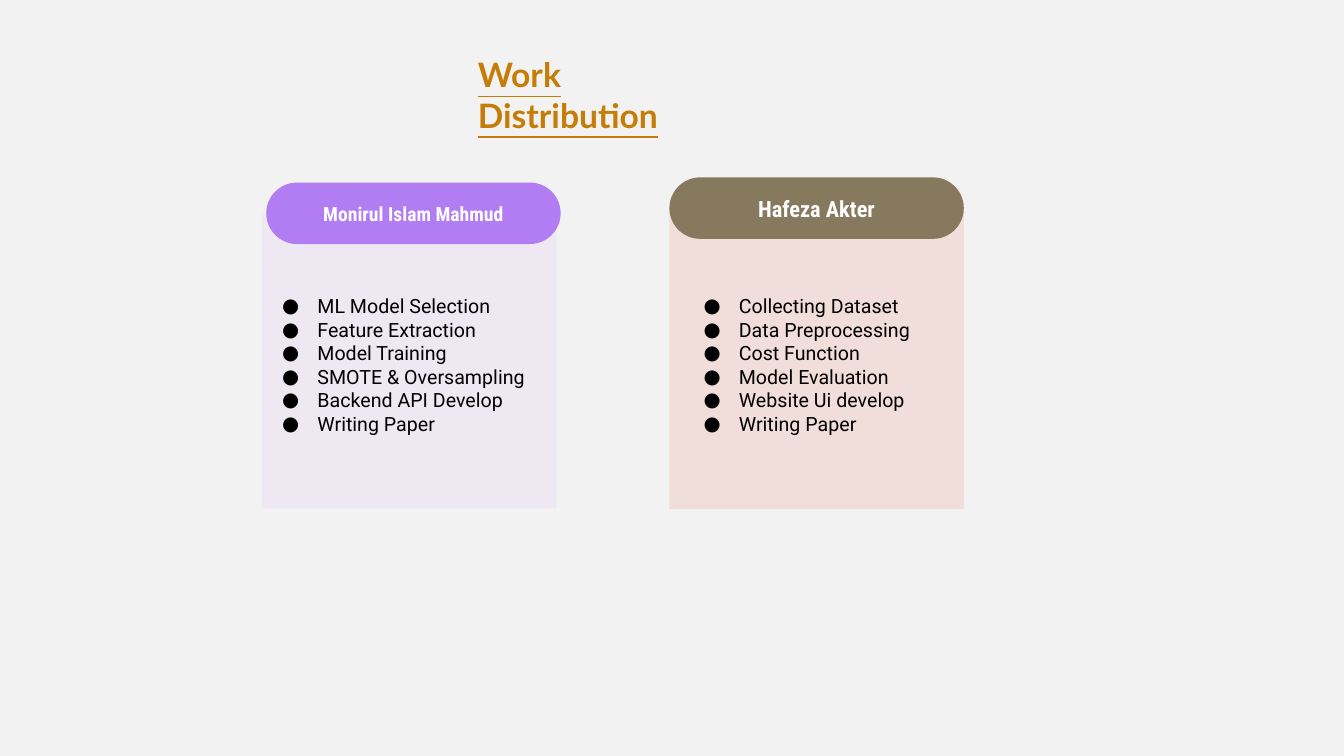
from lxml.etree import SubElement
from pptx import Presentation
from pptx.dml.color import RGBColor
from pptx.enum.shapes import MSO_SHAPE as Kind
from pptx.enum.text import MSO_ANCHOR as Anchor, MSO_AUTO_SIZE as Fit, PP_ALIGN as Align
from pptx.oxml.ns import qn
from pptx.util import Cm, Pt


def paint(fill, hue, alpha=None):
    """Fill with a hex colour, with opacity in percent if given."""
    fill.solid()
    fill.fore_color.rgb = RGBColor.from_string(hue)
    if alpha:
        node = fill._xPr.find(qn("a:solidFill"))[0]
        SubElement(node, qn("a:alpha")).set("val", str(alpha * 1000))


class Deck:
    """Hold the style and the current slide."""

    ink, white, gold = "000000", "FFFFFF", "C67D08"
    body, head, serif = "Roboto", "Roboto Condensed", "Lato"
    pad, dent = Cm(0.25), Cm(0.89)

    def __init__(self, prs):
        """Add a title-only slide with a plain background."""
        self.slide = prs.slides.add_slide(prs.slide_layouts[5])
        paint(self.slide.background.fill, "F2F2F2")

    def style(self, para, name, size, hue, bold=False):
        """Set the font of a paragraph."""
        font = para.font
        font.name, font.size, font.bold = name, Pt(size), bold
        paint(font.fill, hue)

    def title(self, text, *box):
        """Place and format the title."""
        shape = self.slide.shapes.title
        shape.left, shape.top, shape.width, shape.height = map(Cm, box)
        frame = shape.text_frame
        frame.text = text
        frame.word_wrap, frame.auto_size = True, Fit.NONE
        frame.vertical_anchor = Anchor.TOP
        para = frame.paragraphs[0]
        para.alignment = Align.LEFT
        self.style(para, self.serif, 24, self.gold, True)
        para.font.underline = True

    def shape(self, kind, hue, *box, alpha=None):
        """Add a filled shape with no line."""
        shape = self.slide.shapes.add_shape(kind, *map(Cm, box))
        shape.shadow.inherit = False
        shape.line.fill.background()
        paint(shape.fill, hue, alpha)
        return shape

    def pill(self, hue, *box):
        """Add a bar with fully round ends."""
        self.shape(Kind.ROUNDED_RECTANGLE, hue, *box).adjustments[0] = 0.5

    def text(self, lines, *box):
        """Add a padded text box and return its frame."""
        frame = self.slide.shapes.add_textbox(*map(Cm, box)).text_frame
        frame.word_wrap = True
        frame.margin_left = frame.margin_right = self.pad
        frame.margin_top = frame.margin_bottom = self.pad
        frame.text = "\n".join(lines)
        return frame

    def name(self, text, size, *box):
        """Add a centred name."""
        frame = self.text([text], *box)
        frame.vertical_anchor = Anchor.MIDDLE
        para = frame.paragraphs[0]
        para.alignment = Align.CENTER
        self.style(para, self.head, size, self.white, True)

    def tasks(self, lines, *box):
        """Add a bulleted list."""
        for para in self.text(lines, *box).paragraphs:
            props = para._p.get_or_add_pPr()
            props.set("marL", str(self.dent))
            props.set("indent", str(-self.dent))
            SubElement(props, qn("a:buFont")).set("typeface", self.body)
            SubElement(props, qn("a:buChar")).set("char", "●")
            self.style(para, self.body, 14, self.ink)


def main():
    """Build and save the slide."""
    prs = Presentation()
    prs.slide_width, prs.slide_height = Cm(33.87), Cm(19.05)
    deck = Deck(prs)
    deck.title("Work Distribution", 11.79, 1.24, 7.21, 1.27)
    wide, tall = 7.42, 1.55
    deck.shape(Kind.RECTANGLE, "EA4827", 16.87, 5.21, wide, 7.62, alpha=12)
    deck.shape(Kind.RECTANGLE, "CBA7F7", 6.6, 5.41, wide, 7.4, alpha=12)
    people = [
        ("Monirul Islam Mahmud", 14, "B27CF2", 6.71, 4.6, 6.86, 6.93,
         ["ML Model Selection", "Feature Extraction", "Model Training",
          "SMOTE & Oversampling", "Backend API Develop", "Writing Paper"]),
        ("Hafeza Akter", 16, "87795D", 16.87, 4.47, 17.48, 6.22,
         ["Collecting Dataset", "Data Preprocessing", "Cost Function",
          "Model Evaluation", "Website Ui develop", "Writing Paper"]),
    ]
    for name, size, hue, left, top, start, span, jobs in people:
        deck.pill(hue, left, top, wide, tall)
        deck.name(name, size, left + 0.6, top + 0.32, wide - 1.2, 0.91)
        deck.tasks(jobs, start, 7.16, span, 4.57)
    prs.save("out.pptx")


if __name__ == "__main__":
    main()
